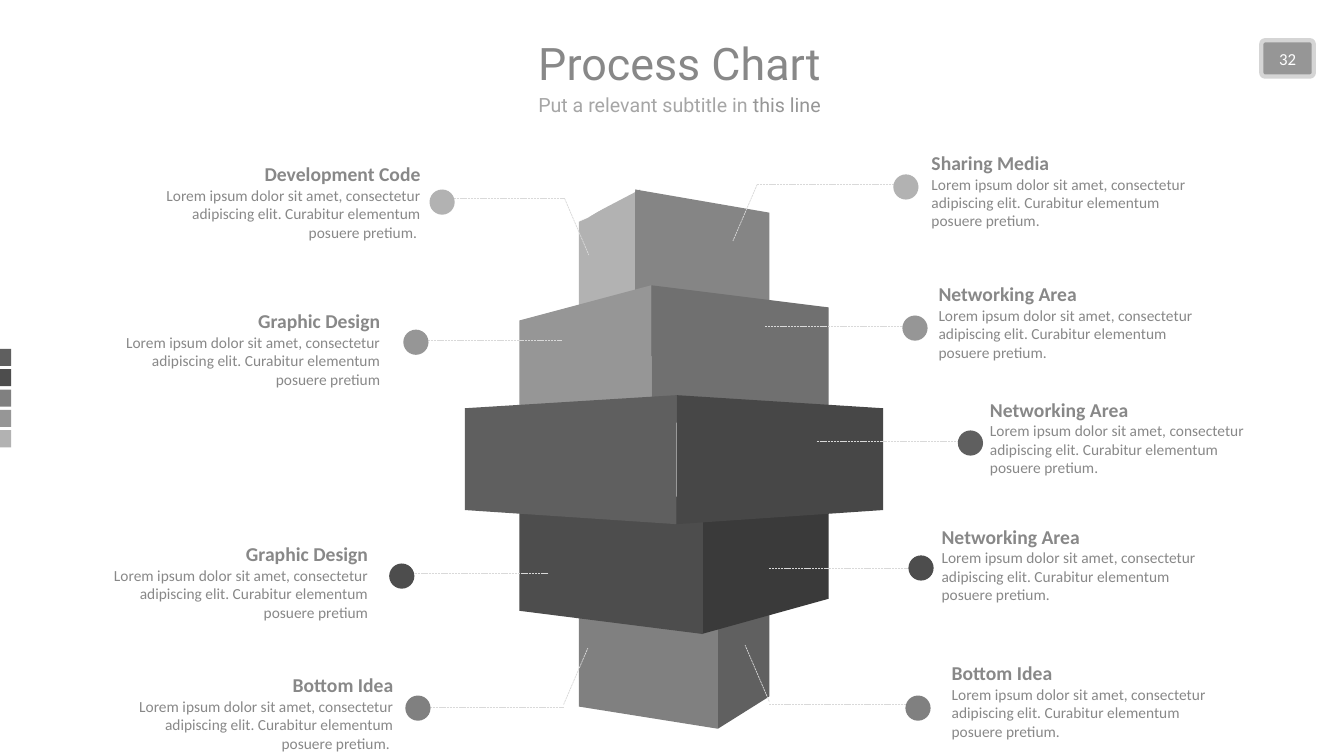
from lxml import etree
from pptx import Presentation
from pptx.dml.color import RGBColor
from pptx.enum.dml import MSO_LINE
from pptx.enum.shapes import MSO_CONNECTOR, MSO_SHAPE
from pptx.enum.text import MSO_ANCHOR, PP_ALIGN
from pptx.oxml.ns import qn
from pptx.util import Inches, Pt

RECT, ROUND, OVAL = MSO_SHAPE.RECTANGLE, MSO_SHAPE.ROUNDED_RECTANGLE, MSO_SHAPE.OVAL
LEFT, MID, RIGHT = PP_ALIGN.LEFT, PP_ALIGN.CENTER, PP_ALIGN.RIGHT
TOP, CENTER, BOTTOM = MSO_ANCHOR.TOP, MSO_ANCHOR.MIDDLE, MSO_ANCHOR.BOTTOM
STRAIGHT, DASH = MSO_CONNECTOR.STRAIGHT, MSO_LINE.SQUARE_DOT

COLS, ROWS = 1333, 750
CELL = Inches(13.33) // COLS
GREY = "888888"
SWATCHES = ["5F5F5F", "4D4D4D", "808080", "969696", "B2B2B2"]
LOREM = ("Lorem ipsum dolor sit amet, consectetur adipiscing elit. "
         "Curabitur elementum posuere pretium")

# Face: colour, then column, top and bottom of its spine and of its outer edge
FACES = [
    ("B2B2B2", 174, 0, 167, 113, 32, 154),
    ("858585", 169, 0, 167, 302, 23, 154),
    ("969696", 185, 95, 233, 54, 130, 221),
    ("707070", 185, 95, 233, 361, 117, 221),
    ("606060", 251, 369, 535, 302, 382, 503),
    ("808080", 251, 369, 535, 113, 382, 513),
    ("3A3A3A", 235, 303, 441, 361, 315, 406),
    ("4D4D4D", 236, 303, 441, 54, 315, 418),
    ("5F5F5F", 210, 204, 332, 0, 217, 318),
    ("474747", 210, 204, 332, 415, 217, 318),
]
RIM = [(113, 32), (164, 0), (169, 0), (169, 2), (164, 2), (122, 28)]

# Callout: title, ending, box corner, lead (gap, drop, length), dot, colour, bend rows
LEFTS = [
    ("Development Code", ". ", (132, 156), (6, 41, 127), (-1, 32), "B2B2B2", (0, 56)),
    ("Graphic Design", "", (92, 302), (18, 36, 152), (13, 25), "969696", None),
    ("Graphic Design", "", (80, 533), (18, 36, 151), (11, 26), "4D4D4D", None),
    ("Bottom Idea", ". ", (105, 663), (8, 39, 151), (2, 27), "808080", (-3, -59)),
]
RIGHTS = [
    ("Sharing Media", ".", (914, 145), (-11, 38, 152), (-28, 28), "B2B2B2", (0, 56)),
    ("Networking Area", ".", (921, 275), (-10, 49, 152), (-26, 38), "969696", None),
    ("Networking Area", ".", (972, 390), (-10, 48, 152), (-22, 37), "5F5F5F", None),
    ("Networking Area", ".", (924, 516), (-10, 48, 151), (-23, 35), "4D4D4D", None),
    ("Bottom Idea", ".", (934, 651), (-19, 48, 152), (-36, 39), "808080", (-3, -59)),
]


def cells(*nums):
    """Turn grid counts into lengths."""
    return [round(num * CELL) for num in nums]


def paint(fill, hue):
    """Give a fill one solid colour."""
    fill.solid()
    fill.fore_color.rgb = RGBColor.from_string(hue)


def shape(slide, kind, box, hue):
    """Add a plain preset shape."""
    item = slide.shapes.add_shape(kind, *cells(*box))
    item.shadow.inherit = False
    paint(item.fill, hue)
    item.line.fill.background()
    return item


def write(item, text, looks, align, font, anchor=TOP):
    """Set text, then format each run by size, colour and weight."""
    frame = item.text_frame
    frame.word_wrap = True
    frame.vertical_anchor = anchor
    para = frame.paragraphs[0]
    para.text = text
    para.alignment = align
    for run, (size, hue, bold) in zip(para.runs, looks):
        run.font.name, run.font.size, run.font.bold = font, Pt(size), bold
        paint(run.font.fill, hue)
    return para


def label(slide, box, *rest):
    """Add a text box."""
    return write(slide.shapes.add_textbox(*cells(*box)), *rest)


def panel(slide, points, hue):
    """Add a filled polygon through the given points."""
    pen = slide.shapes.build_freeform(*points[0], scale=CELL)
    pen.add_line_segments(points[1:], close=True)
    item = pen.convert_to_shape()
    item.shadow.inherit = False
    paint(item.fill, hue)
    item.line.fill.background()


def wire(slide, start, end, tip=False):
    """Add a dashed line, with a round tip if asked."""
    item = slide.shapes.add_connector(STRAIGHT, *cells(*start, *end))
    paint(item.line.fill, "D9D9D9")
    item.line.width = Pt(0.5)
    item.line.dash_style = DASH
    if tip:
        etree.SubElement(item.line._get_or_add_ln(), qn("a:tailEnd"), type="oval")
    etree.SubElement(item._element.spPr, qn("a:effectLst"))


def header(slide, box):
    """Place the title and subtitle."""
    x, y, w, h = box
    para = label(slide, (x, y, w, 0.6 * h), "Process Chart",
                 [(32, GREY, False)], MID, "Roboto", BOTTOM)
    para.line_spacing = 0.9
    para = label(slide, (x, y + 0.56 * h, w, 0.44 * h), "Put a relevant subtitle in ",
                 [(14, "A6A6A6", False)], MID, "Roboto")
    para.line_spacing = 0.9
    run = para.add_run()
    run.text = "this line"
    run.font.name, run.font.size = "Roboto", Pt(14)
    paint(run.font.fill, "969696")


def badge(slide, box):
    """Place the page number."""
    item = shape(slide, ROUND, box, "969696")
    item.adjustments[0] = 0.1
    paint(item.line.fill, "D5D5D5")
    item.line.width = Pt(3)
    write(item, "32", [(12, "FFFFFF", False)], MID, "Calibri", CENTER)


def strip(slide, box):
    """Stack the colour swatches down the box."""
    x, y, w, h = box
    step = h / len(SWATCHES)
    for row, hue in enumerate(SWATCHES):
        shape(slide, RECT, (x, y + row * step, w, 0.84 * step), hue)


def tower(slide, box):
    """Draw the stacked blocks, two faces each."""
    x, y = box[:2]
    for hue, spine, top, low, edge, rise, fall in FACES:
        points = [(spine, low), (edge, fall), (edge, rise), (spine, top)]
        panel(slide, [(x + a, y + b) for a, b in points], hue)
    panel(slide, [(x + a, y + b) for a, b in RIM], "FFFFFF")


def callout(slide, box, side, title, end, lead, dot, hue, bend):
    """Place a note with its lead line and dot; side is 1 for right, -1 for left."""
    x, y, w, h = box
    edge = x if side > 0 else x + w
    gap, drop, reach = lead
    tip, row = edge + gap, y + drop
    root = tip - side * reach
    if bend:
        wire(slide, (root, row + bend[0]), (root - side * 24, row + bend[1]))
    wire(slide, (root, row), (tip, row), True)
    shape(slide, OVAL, (edge + dot[0], y + dot[1], 25, 25), hue)
    label(slide, box, f"{title}\v{LOREM}{end}", [(14, GREY, True), (11, GREY, False)],
          LEFT if side > 0 else RIGHT, "Calibri")


def main():
    """Build the slide."""
    deck = Presentation()
    deck.slide_width, deck.slide_height = cells(COLS, ROWS)
    slide = deck.slides.add_slide(deck.slide_layouts[6])
    header(slide, (99, 19, 1150, 126))
    badge(slide, (1251, 40, 52, 36))
    strip(slide, (0, 346, 11, 101))
    tower(slide, (461, 188, 415, 535))
    for side, notes in ((-1, LEFTS), (1, RIGHTS)):
        for title, end, spot, *rest in notes:
            callout(slide, (*spot, 295, 97), side, title, end, *rest)
    deck.save("out.pptx")


if __name__ == "__main__":
    main()
